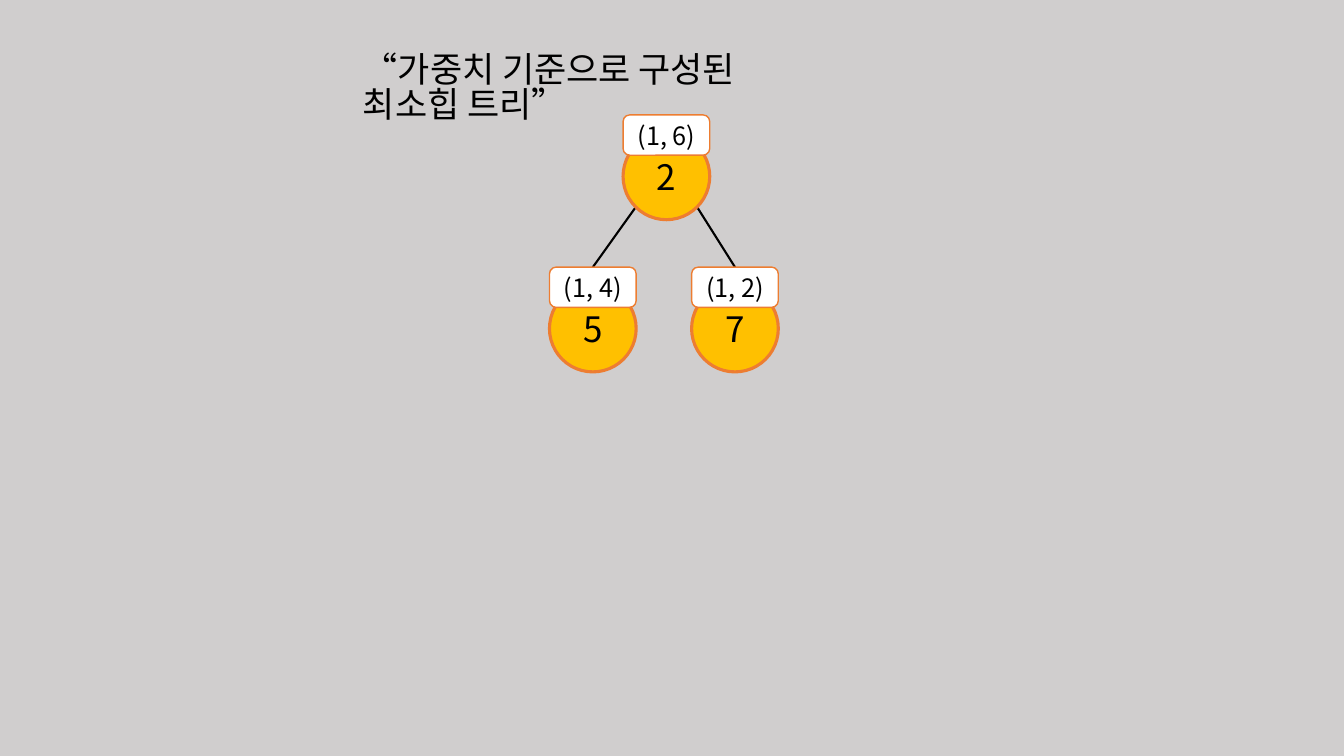
from math import sqrt

from lxml.etree import SubElement
from pptx import Presentation
from pptx.dml.color import RGBColor
from pptx.enum.shapes import MSO_CONNECTOR as Connector, MSO_SHAPE as Preset
from pptx.enum.text import MSO_ANCHOR as Anchor, MSO_AUTO_SIZE as AutoSize, PP_ALIGN as Align
from pptx.oxml.ns import qn
from pptx.util import Inches, Pt

FONT = "Noto Sans CJK KR"
BACKGROUND = RGBColor(0xD0, 0xCE, 0xCE)
AMBER = RGBColor(0xFF, 0xC0, 0x00)
ORANGE = RGBColor(0xED, 0x7D, 0x31)
WHITE = RGBColor(0xFF, 0xFF, 0xFF)
BLACK = RGBColor(0x00, 0x00, 0x00)

NODE_SIZE = 0.86
LABEL_HEIGHT = 0.4
CIRCLE_DROP = 0.18
ROOT = (6.18, 1.14, "2", "(1, 6)")
CHILDREN = [(5.45, 2.65, "5", "(1, 4)"), (6.86, 2.65, "7", "(1, 2)")]


def write_text(shape, text, size=25, align=Align.CENTER, anchor=Anchor.MIDDLE, spacing=None):
    """Put one formatted paragraph into a shape."""
    frame = shape.text_frame
    frame.word_wrap = True
    frame.auto_size = AutoSize.NONE
    frame.vertical_anchor = anchor
    paragraph = frame.paragraphs[0]
    paragraph.alignment = align
    paragraph.line_spacing = spacing
    run = paragraph.add_run()
    run.text = text
    run.font.size = Pt(size)
    run.font.color.rgb = BLACK
    run.font.name = FONT
    SubElement(run._r.get_or_add_rPr(), qn("a:ea"), typeface=FONT)


class HeapSlide:
    """Draws a heap tree on one slide in a fixed style."""

    def __init__(self, presentation):
        self.slide = presentation.slides.add_slide(presentation.slide_layouts[5])
        fill = self.slide.background.fill
        fill.solid()
        fill.fore_color.rgb = BACKGROUND

    def title(self, text, left, top, width, height):
        title = self.slide.shapes.title
        title.left, title.top = Inches(left), Inches(top)
        title.width, title.height = Inches(width), Inches(height)
        write_text(title, text, align=Align.LEFT, anchor=Anchor.TOP, spacing=0.83)

    def edge(self, start, end):
        points = [Inches(value) for value in (*start, *end)]
        connector = self.slide.shapes.add_connector(Connector.STRAIGHT, *points)
        connector.line.color.rgb = BLACK
        connector.line.width = Pt(1.5)
        SubElement(connector._element.spPr, qn("a:effectLst"))

    def box(self, group, preset, left, top, height, text, size, color, line_width):
        shape = group.shapes.add_shape(
            preset, Inches(left), Inches(top), Inches(NODE_SIZE), Inches(height))
        shape.shadow.inherit = False
        shape.fill.solid()
        shape.fill.fore_color.rgb = color
        shape.line.color.rgb = ORANGE
        shape.line.width = Pt(line_width)
        write_text(shape, text, size=size)

    def node(self, left, top, weight, pair):
        group = self.slide.shapes.add_group_shape()
        self.box(group, Preset.OVAL, left, top + CIRCLE_DROP, NODE_SIZE, weight, 25, AMBER, 2.25)
        self.box(group, Preset.ROUNDED_RECTANGLE, left, top, LABEL_HEIGHT, pair, 18, WHITE, 1)


def main():
    """Build and save the heap slide."""
    presentation = Presentation()
    presentation.slide_width = Inches(13.33)
    presentation.slide_height = Inches(7.5)
    heap = HeapSlide(presentation)
    heap.title("“가중치 기준으로 구성된 최소힙 트리”", 3.5, 0.49, 4.76, 0.52)

    radius = NODE_SIZE / 2
    reach = radius / sqrt(2)
    center_x = ROOT[0] + radius
    center_y = ROOT[1] + CIRCLE_DROP + radius
    for side, (left, top, *_) in zip((-1, 1), CHILDREN):
        heap.edge((center_x + side * reach, center_y + reach), (left + radius, top))
    for node in (ROOT, *CHILDREN):
        heap.node(*node)
    presentation.save("out.pptx")


if __name__ == "__main__":
    main()
